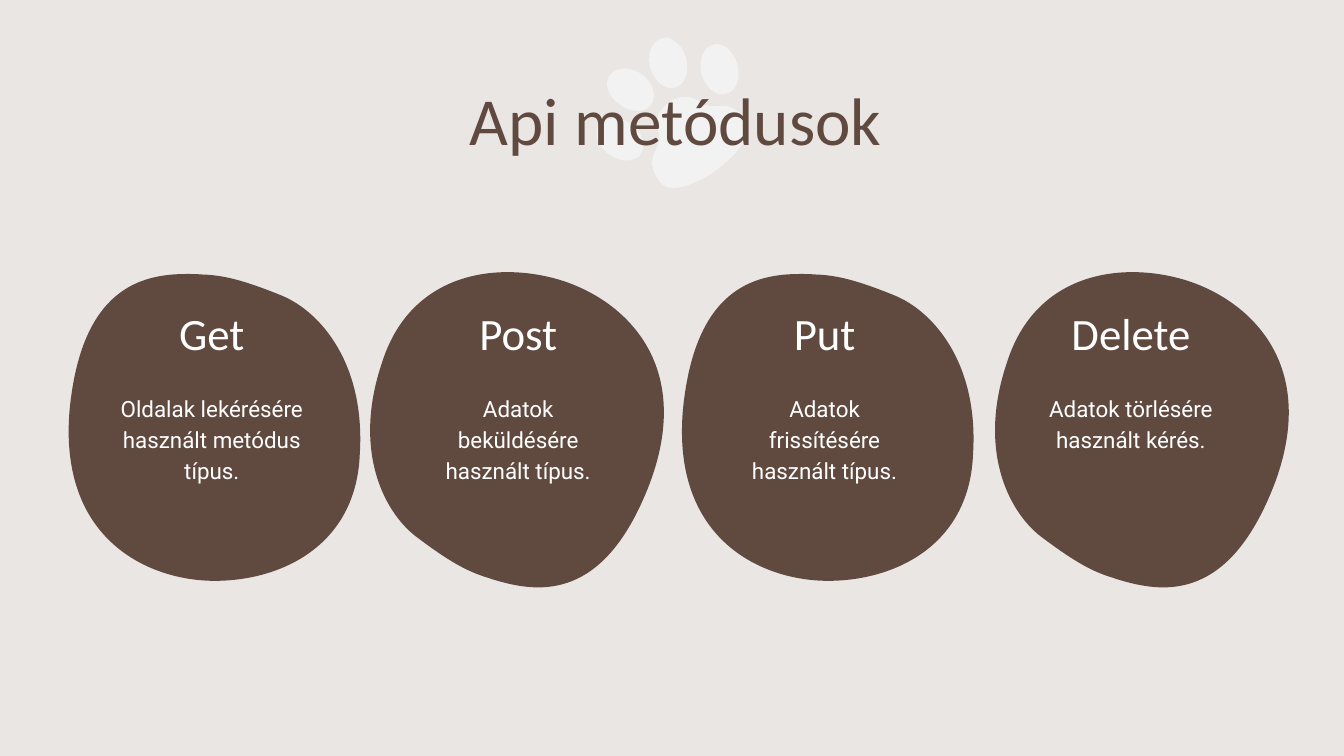
from math import cos, sin, radians
from lxml.etree import SubElement as Sub
from pptx import Presentation
from pptx.util import Cm, Pt
from pptx.dml.color import RGBColor
from pptx.enum.text import PP_ALIGN as Align, MSO_ANCHOR as Anchor
from pptx.oxml.ns import qn

rgb = RGBColor.from_string
BROWN, WHITE, PALE = "604A40", "FFFFFF", "F2F2F2"

PAD = [(-.44, -.64), (-.44, -.64), (-.77, -.41), (-.65, -.08),
       (-.52, .25), (-.98, .38), (-.62, .86),
       (-.44, 1.12), (.04, .94), (.44, .66),
       (.85, .36), (1.18, -.05), (1, -.28),
       (.67, -.79), (.42, -.41), (.14, -.64),
       (-.14, -.86), (-.44, -.64), (-.44, -.64)]
SIDE = [(-.32, -.34), (-.34, -.32), (-.37, -.29), (-.39, -.27),
        (-.5, -.11), (-.42, .14), (-.19, .29),
        (-.01, .42), (.22, .44), (.34, .34),
        (.37, .34), (.39, .32), (.39, .29),
        (.52, .11), (.42, -.14), (.22, -.29),
        (.04, -.42), (-.19, -.42), (-.32, -.34)]
TOP = [(-.22, -.42), (-.34, -.32), (-.39, -.11), (-.34, .09),
       (-.27, .34), (-.06, .52), (.11, .47),
       (.14, .47), (.19, .44), (.22, .42),
       (.34, .34), (.39, .14), (.34, -.09),
       (.27, -.34), (.06, -.52), (-.11, -.47),
       (-.17, -.44), (-.19, -.44), (-.22, -.42)]
BLOB = [(-.48, -2.9), (-1.35, -2.9), (-2.46, -2.62), (-2.69, -.36),
        (-2.92, 2.13), (-1.19, 2.9), (.05, 2.9),
        (1.3, 2.9), (2.72, 2.24), (2.79, .51),
        (2.9, -1.19), (2.06, -2.18), (1.32, -2.49),
        (.58, -2.79), (.2, -2.88), (-.2, -2.89),
        (-.29, -2.9), (-.38, -2.9), (-.48, -2.9)]


def draw(home, knots, x, y, base, turn, fill):
    back = complex(cos(radians(base)), -sin(radians(base)))
    spots = [complex(x, y) + complex(*k) * back for k in knots]
    pts = [(Cm(p.real), Cm(p.imag)) for p in spots]
    pen = home.build_freeform(*pts[0])
    pen.add_line_segments(pts[1:], close=False)
    shape = pen.convert_to_shape()
    route = shape.element.find(".//" + qn("a:path"))
    lines = route.findall(qn("a:lnTo"))
    for i in range(0, len(lines), 3):
        curve = Sub(route, qn("a:cubicBezTo"))
        for line in lines[i:i + 3]:
            curve.append(line[0])
            route.remove(line)
    Sub(route, qn("a:close"))
    shape.rotation = turn
    shape.shadow.inherit = False
    shape.fill.solid()
    shape.fill.fore_color.rgb = rgb(fill)
    shape.line.fill.background()


def write(text, box, size, face, color, gap=1.0, after=0, anchor=Anchor.TOP):
    frame = slide.shapes.add_textbox(*map(Cm, box)).text_frame
    frame.word_wrap = True
    frame.vertical_anchor = anchor
    frame.margin_left = frame.margin_right = Cm(0.25)
    frame.margin_top = frame.margin_bottom = Cm(0.25)
    para = frame.paragraphs[0]
    para.alignment = Align.CENTER
    para.line_spacing = gap
    para.space_after = Pt(after)
    run = para.add_run()
    run.text = text
    run.font.size = Pt(size)
    run.font.name = face
    run.font.color.rgb = rgb(color)


deck = Presentation()
deck.slide_width, deck.slide_height = Cm(25.4), Cm(14.29)
slide = deck.slides.add_slide(deck.slide_layouts[6])
slide.background.fill.solid()
slide.background.fill.fore_color.rgb = rgb("E9E6E4")

paw = slide.shapes.add_group_shape().shapes
for part, x, y in [(PAD, 13.09, 2.57), (SIDE, 11.72, 2.63), (TOP, 13.6, 1.31),
                   (SIDE, 11.92, 1.69), (TOP, 12.63, 1.19)]:
    draw(paw, part, x, y, 324.8, 324.8, PALE)

write("Api metódusok", (2, 1.65, 21.54, 1.6), 36, "Calibri", BROWN, 0.7)

for x, turn in [(4.01, 0), (9.8, 195), (15.6, 0), (21.61, 195)]:
    draw(slide.shapes, BLOB, x, 8.08, 0, turn, BROWN)

cards = [("Get", "Oldalak lekérésére használt metódus típus."),
         ("Post", "Adatok beküldésére használt típus."),
         ("Put", "Adatok frissítésére használt típus."),
         ("Delete", "Adatok törlésére használt kérés.")]
for i, (head, body) in enumerate(cards):
    x = 2 + 5.79 * i
    write(head, (x, 5.93, 4.01, 1.12), 24, "Calibri", WHITE, anchor=Anchor.BOTTOM)
    write(body, (x, 7.15, 4.01, 2.9), 12, "Roboto", WHITE, 1.15, 16)

deck.save("out.pptx")
